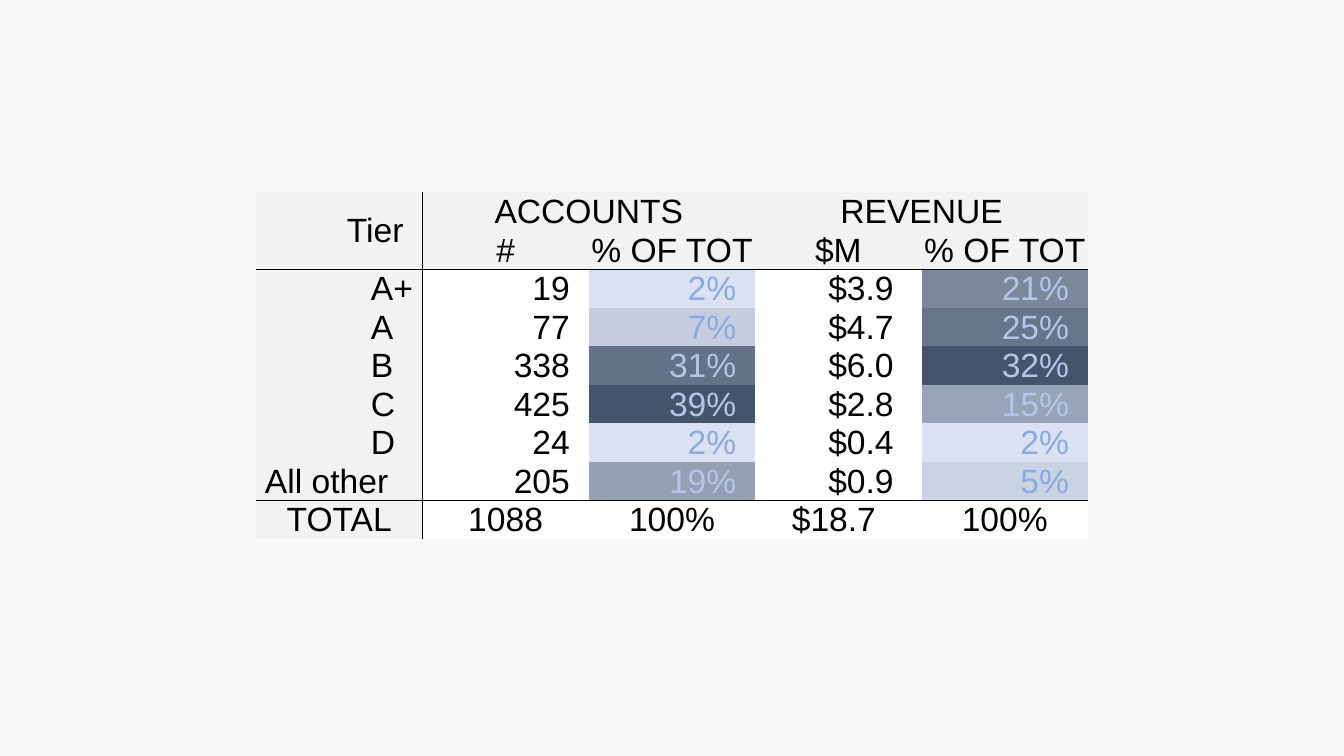
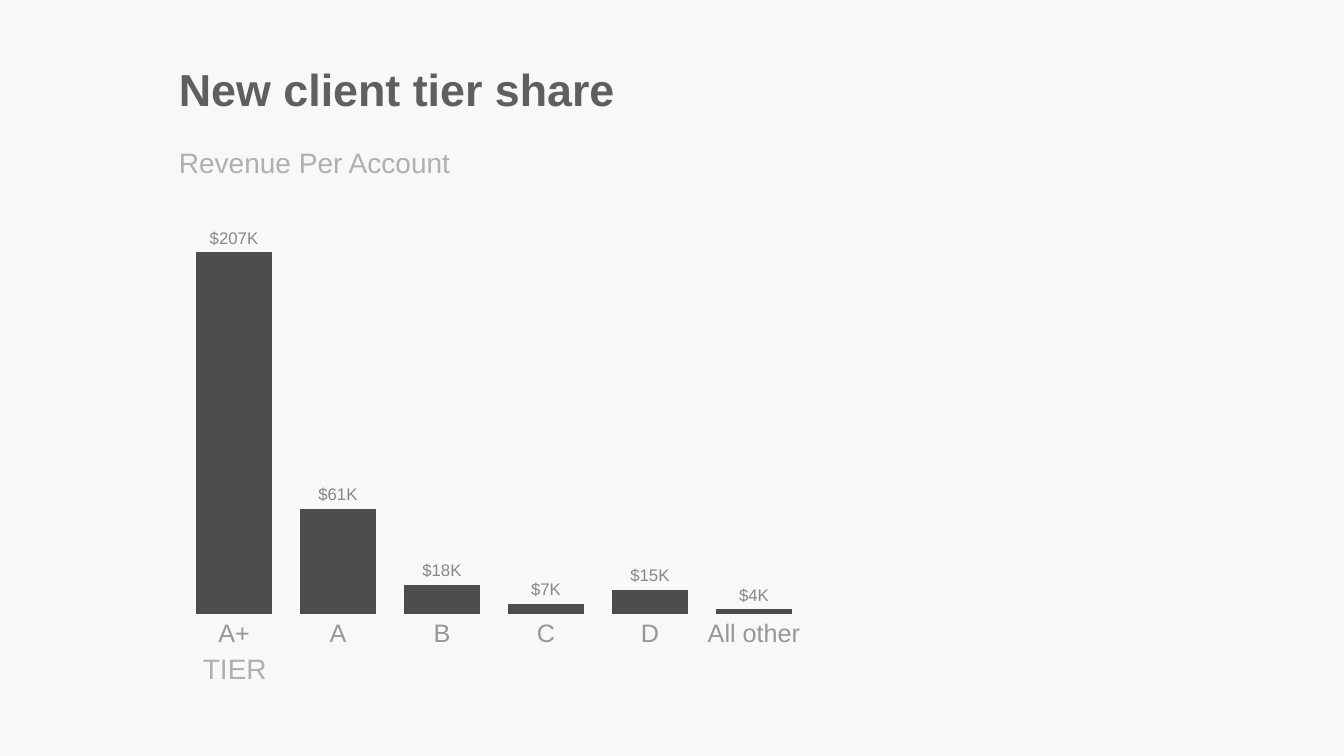
from dataclasses import dataclass

from lxml import etree
from pptx import Presentation
from pptx import util as u
from pptx.chart.data import CategoryChartData
from pptx.dml.color import RGBColor
from pptx.enum import chart as chart_enum
from pptx.enum import text as text_enum
from pptx.oxml import ns

ALIGN = text_enum.PP_ALIGN
ANCHOR = text_enum.MSO_ANCHOR


@dataclass(frozen=True)
class Theme:
    font: str = "Arial"
    # Colours
    background: str = "F8F8F8"
    ink: str = "000000"
    header_fill: str = "F2F2F2"
    body_fill: str = "FFFFFF"
    heat_low: str = "D9E1F2"
    heat_high: str = "44546A"
    text_on_low: str = "8EA9DB"
    text_on_high: str = "B4C6E7"
    title: str = "5F5F5F"
    subtitle: str = "AFAFAF"
    axis: str = "979797"
    label: str = "878787"
    bar: str = "4D4D4D"
    # Type sizes
    title_size: int = 32
    table_size: int = 24
    subtitle_size: int = 20
    axis_size: int = 18
    label_size: int = 12
    chart_size: int = 10


THEME = Theme()
PX = 914400 / 100.8

# Tier, accounts, % of accounts, revenue, % of revenue
TIERS = [
    ("A+", "19", 2, "$3.9", 21),
    ("A", "77", 7, "$4.7", 25),
    ("B", "338", 31, "$6.0", 32),
    ("C", "425", 39, "$2.8", 15),
    ("D", "24", 2, "$0.4", 2),
    ("All other", "205", 19, "$0.9", 5),
]
TOTALS = ("TOTAL", "1088", "100%", "$18.7", "100%")
SUBHEADS = ("#", "% OF TOT", "$M", "% OF TOT")
REVENUE_PER_ACCOUNT = (207, 61, 18, 7, 15, 4)


def px(length):
    return u.Emu(round(length * PX))


def color(value):
    return RGBColor.from_string(value)


def style_font(font, size, value, bold=False):
    font.name, font.size, font.bold = THEME.font, u.Pt(size), bold
    font.color.rgb = color(value)


# Text
def add_text(slide, box, words, size, value, bold=False):
    frame = slide.shapes.add_textbox(*map(px, box)).text_frame
    frame.word_wrap = True
    frame.auto_size = text_enum.MSO_AUTO_SIZE.SHAPE_TO_FIT_TEXT
    paragraph = frame.paragraphs[0]
    paragraph.text = words
    style_font(paragraph.font, size, value, bold)


# Table
def set_borders(cell, sides):
    """Rule the given sides (letters of LRTB) and clear the others."""
    properties = cell._tc.get_or_add_tcPr()
    for index, side in enumerate("LRTB"):
        line = etree.Element(ns.qn(f"a:ln{side}"), w=str(u.Pt(0.5)))
        if side in sides:
            fill = etree.SubElement(line, ns.qn("a:solidFill"))
            etree.SubElement(fill, ns.qn("a:srgbClr"), val=THEME.ink)
        else:
            etree.SubElement(line, ns.qn("a:noFill"))
        properties.insert(index, line)


def fill_cell(cell, words, align=ALIGN.CENTER, left=1, right=1,
              anchor=ANCHOR.BOTTOM, value=THEME.ink):
    cell.margin_left, cell.margin_right = px(left), px(right)
    cell.margin_top, cell.margin_bottom = px(1), 0
    cell.vertical_anchor = anchor
    paragraph = cell.text_frame.paragraphs[0]
    paragraph.text = words
    paragraph.alignment = align
    style_font(paragraph.font, THEME.table_size, value)


def blend(share):
    """Colour on the heat scale, from 0 (low) to 1 (high)."""
    pairs = zip(color(THEME.heat_low), color(THEME.heat_high))
    return RGBColor(*(round(low + (high - low) * share) for low, high in pairs))


def fill_heat_cell(cell, percent, column_values):
    low, high = min(column_values), max(column_values)
    share = (percent - low) / (high - low)
    cell.fill.fore_color.rgb = blend(share)
    fill_cell(cell, f"{percent}%", ALIGN.RIGHT, right=19,
              value=THEME.text_on_high if share > 0.4 else THEME.text_on_low)


def add_tier_table(slide, box):
    last = len(TIERS) + 2
    table = slide.shapes.add_table(last + 1, 5, *map(px, box)).table
    table.first_row = table.horz_banding = False

    # Fills and rules
    for row in range(last + 1):
        for column in range(5):
            cell = table.cell(row, column)
            heading = row < 2 or column == 0
            cell.fill.solid()
            cell.fill.fore_color.rgb = color(
                THEME.header_fill if heading else THEME.body_fill)
            sides = {0: "R", 1: "L"}.get(column, "")
            sides += {1: "B", 2: "T", last - 1: "B", last: "T"}.get(row, "")
            if (row, column) == (0, 0):
                sides += "B"
            set_borders(cell, sides)

    # Headings
    table.cell(0, 0).merge(table.cell(1, 0))
    fill_cell(table.cell(0, 0), "Tier", ALIGN.RIGHT, right=19,
              anchor=ANCHOR.MIDDLE)
    for column, words in ((1, "ACCOUNTS"), (3, "REVENUE")):
        table.cell(0, column).merge(table.cell(0, column + 1))
        fill_cell(table.cell(0, column), words)
    for column, words in enumerate(SUBHEADS, 1):
        fill_cell(table.cell(1, column), words)

    # Tiers
    for row, (tier, accounts, _, revenue, _) in enumerate(TIERS, 2):
        fill_cell(table.cell(row, 0), tier, ALIGN.LEFT,
                  left=9 if tier == "All other" else 115)
        fill_cell(table.cell(row, 1), accounts, ALIGN.RIGHT, right=19)
        fill_cell(table.cell(row, 3), revenue, ALIGN.RIGHT, right=28)
    for column in (2, 4):
        percents = [tier[column] for tier in TIERS]
        for row, percent in enumerate(percents, 2):
            fill_heat_cell(table.cell(row, column), percent, percents)

    # Totals
    for column, words in enumerate(TOTALS):
        fill_cell(table.cell(last, column), words, right=10 if column == 3 else 1)


# Chart
def set_plot_layout(chart, **fractions):
    plot_area = chart._chartSpace.chart.plotArea
    for old in plot_area.findall(ns.qn("c:layout")):
        plot_area.remove(old)
    layout = etree.Element(ns.qn("c:layout"))
    manual = etree.SubElement(layout, ns.qn("c:manualLayout"))
    settings = {"layoutTarget": "inner", "xMode": "edge", "yMode": "edge"}
    for name, value in {**settings, **fractions}.items():
        etree.SubElement(manual, ns.qn(f"c:{name}"), val=str(value))
    plot_area.insert(0, layout)


def add_revenue_chart(slide, box):
    data = CategoryChartData()
    data.categories = [tier[0] for tier in TIERS]
    data.add_series("Series 1", REVENUE_PER_ACCOUNT)
    chart = slide.shapes.add_chart(
        chart_enum.XL_CHART_TYPE.COLUMN_CLUSTERED, *map(px, box), data).chart
    chart.has_legend = chart.has_title = False
    style_font(chart.font, THEME.chart_size, THEME.title)
    set_plot_layout(chart, x=0.02, y=0.03, w=0.96, h=0.89)

    # Axes
    values = chart.value_axis
    values.visible = values.has_major_gridlines = False
    values.minimum_scale, values.maximum_scale = 0, 250
    categories = chart.category_axis
    categories.major_tick_mark = chart_enum.XL_TICK_MARK.NONE
    categories.format.line.fill.background()
    style_font(categories.tick_labels.font, THEME.axis_size, THEME.axis)

    # Bars and labels
    plot = chart.plots[0]
    plot.gap_width, plot.vary_by_categories = 33, False
    bars = plot.series[0]
    bars.format.fill.solid()
    bars.format.fill.fore_color.rgb = color(THEME.bar)
    bars.format.line.color.rgb = color(THEME.background)
    bars.format.line.width = u.Pt(1.5)
    labels = bars.data_labels
    labels.show_value = True
    labels.position = chart_enum.XL_LABEL_POSITION.OUTSIDE_END
    labels.number_format = '"$"#"K"'
    labels.number_format_is_linked = False
    style_font(labels.font, THEME.label_size, THEME.label)


def main():
    presentation = Presentation()
    presentation.slide_width, presentation.slide_height = px(1344), px(756)
    background = presentation.slide_master.background.fill
    background.solid()
    background.fore_color.rgb = color(THEME.background)
    blank = presentation.slide_layouts[6]

    # Tier table
    slide = presentation.slides.add_slide(blank)
    add_tier_table(slide, (256, 192, 832, 347))

    # Revenue per account
    slide = presentation.slides.add_slide(blank)
    add_revenue_chart(slide, (169, 161, 650, 494))
    add_text(slide, (169, 141, 896, 44), "Revenue Per Account",
             THEME.subtitle_size, THEME.subtitle)
    add_text(slide, (169, 57, 474, 64), "New client tier share",
             THEME.title_size, THEME.title, bold=True)
    add_text(slide, (193, 647, 94, 44), "TIER",
             THEME.subtitle_size, THEME.subtitle)

    presentation.save("out.pptx")


if __name__ == "__main__":
    main()
